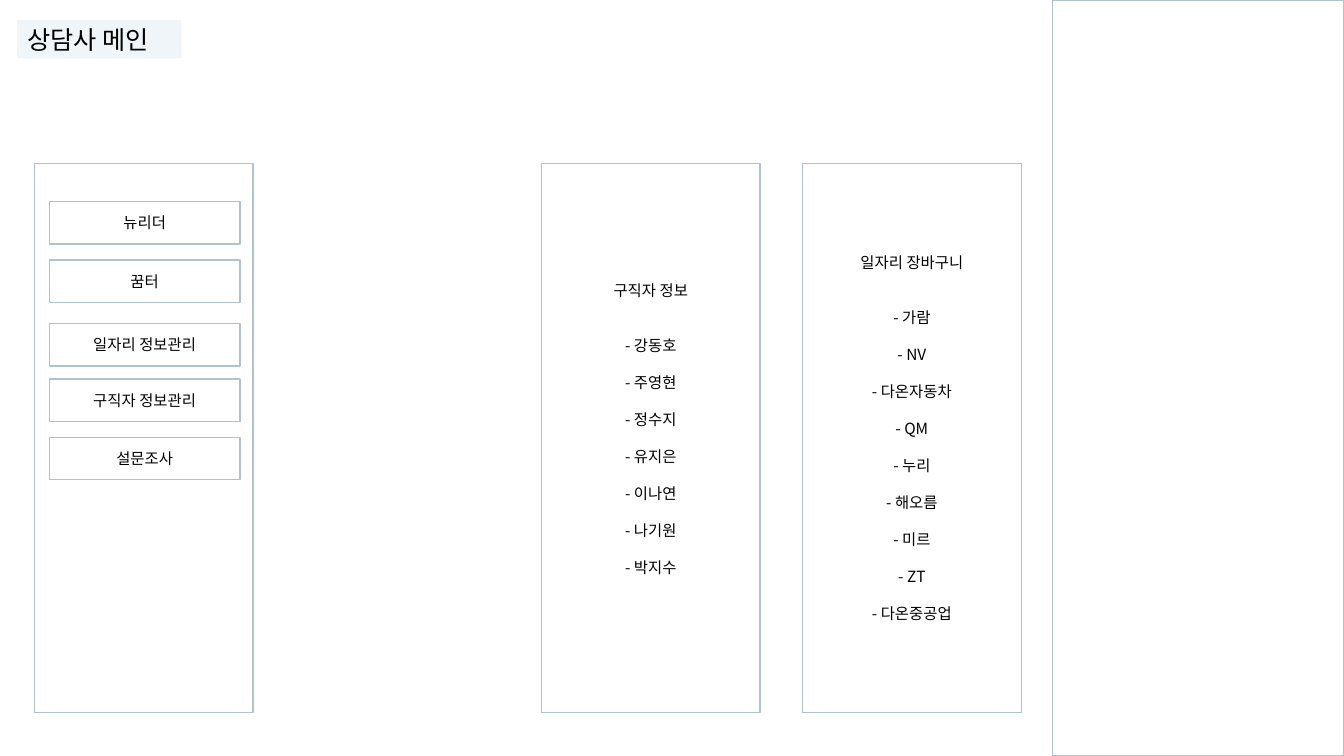
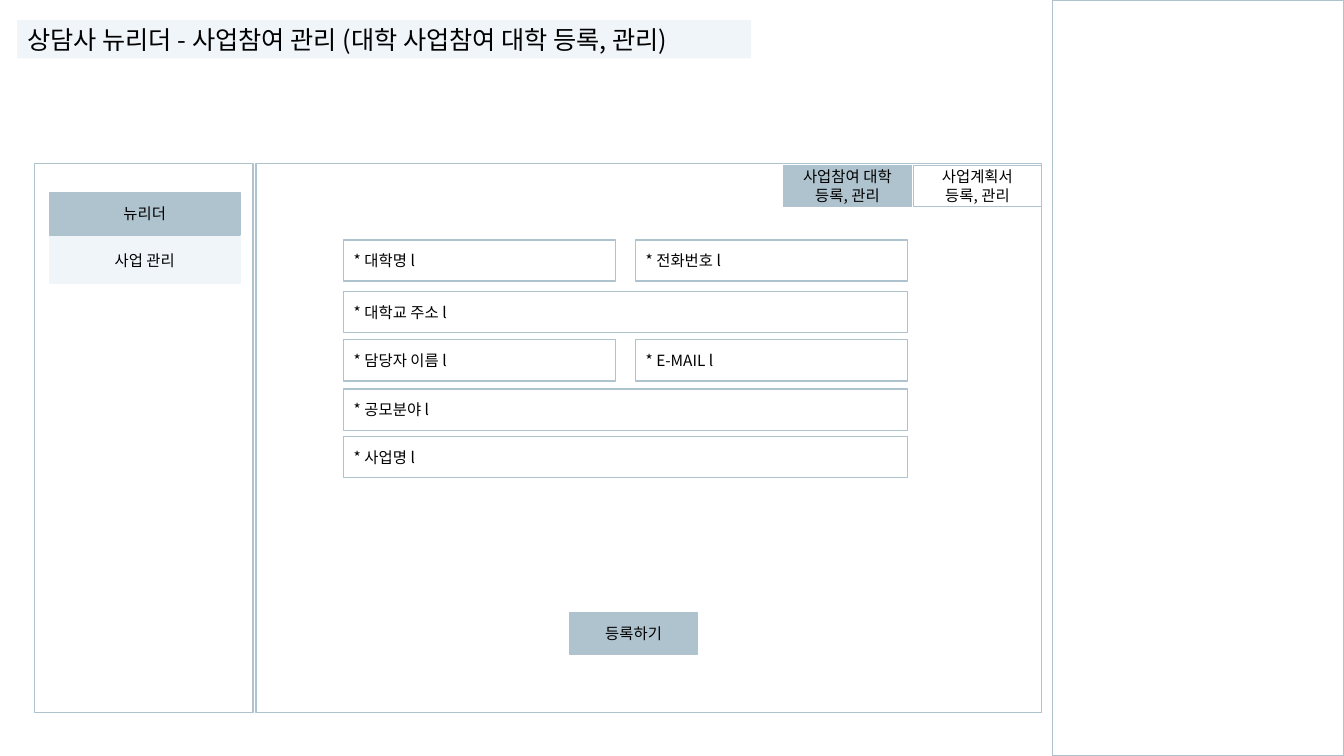
from dataclasses import dataclass
from lxml.etree import SubElement
from pptx import Presentation
from pptx.dml.color import RGBColor
from pptx.enum.shapes import MSO_SHAPE
from pptx.enum.text import MSO_ANCHOR, MSO_AUTO_SIZE, PP_ALIGN
from pptx.oxml.ns import qn
from pptx.util import Inches, Pt


@dataclass(frozen=True)
class Theme:
    font: str = "Noto Sans CJK KR"
    ink: RGBColor = RGBColor(0, 0, 0)
    steel: RGBColor = RGBColor(0xAF, 0xC3, 0xCE)
    pale: RGBColor = RGBColor(0xF0, 0xF5, 0xF9)
    title: float = 18
    body: float = 11
    lead: float = 1.2
    rule: float = 1


THEME = Theme()
LINE = THEME.body * THEME.lead
TOP, TALL = 1.62, 5.45
SIDE, WIDE = 0.34, 2.17
MENU, ITEM = 0.49, 1.89
HIGH = 0.41


def write(frame, lines, size, align, gaps=()):
    frame.word_wrap = True
    frame.auto_size = MSO_AUTO_SIZE.NONE
    frame.vertical_anchor = MSO_ANCHOR.MIDDLE
    frame.margin_left = frame.margin_right = Inches(0.1)
    frame.margin_top = frame.margin_bottom = Inches(0.05)
    for spot, line in enumerate(lines):
        para = frame.paragraphs[0] if spot == 0 else frame.add_paragraph()
        para.alignment = align
        para.line_spacing = Pt(size * THEME.lead)
        para.space_before = Pt(gaps[spot] if gaps else 0)
        run = para.add_run()
        run.text = line
        font = run.font
        font.size = Pt(size)
        font.name = THEME.font
        font.color.rgb = THEME.ink
        east = SubElement(run._r.get_or_add_rPr(), qn("a:ea"))
        east.set("typeface", THEME.font)


def box(slide, left, top, width, height, lines=(), fill=None,
        edge=THEME.steel, align=PP_ALIGN.CENTER, gaps=()):
    shape = slide.shapes.add_shape(
        MSO_SHAPE.RECTANGLE, *map(Inches, (left, top, width, height)))
    shape.shadow.inherit = False
    if fill is None:
        shape.fill.background()
    else:
        shape.fill.solid()
        shape.fill.fore_color.rgb = fill
    shape.line.color.rgb = edge
    shape.line.width = Pt(THEME.rule)
    if lines:
        write(shape.text_frame, lines, THEME.body, align, gaps)
    return shape


def roster(slide, left, head, names):
    lines = [head] + [f"- {name}" for name in names]
    gaps = [0, 2 * LINE] + [LINE] * (len(names) - 1)
    return box(slide, left, TOP, WIDE, TALL, lines, gaps=gaps)


def field(slide, left, top, width, label):
    box(slide, left, top, width, HIGH, [f"* {label} l"], align=PP_ALIGN.LEFT)


def page(deck, text, width):
    slide = deck.slides.add_slide(deck.slide_layouts[5])
    title = slide.shapes.title
    title.left, title.top = Inches(0.17), Inches(0.2)
    title.width, title.height = Inches(width), Inches(0.38)
    title.fill.solid()
    title.fill.fore_color.rgb = THEME.pale
    write(title.text_frame, [text], THEME.title, PP_ALIGN.LEFT)
    box(slide, 10.44, 0, 2.89, 7.5)
    box(slide, SIDE, TOP, WIDE, TALL)
    return slide


def home(deck):
    slide = page(deck, "상담사 메인", 1.63)
    menu = ((2, "뉴리더"), (2.58, "꿈터"), (3.21, "일자리 정보관리"),
            (3.76, "구직자 정보관리"), (4.34, "설문조사"))
    for top, label in menu:
        box(slide, MENU, top, ITEM, 0.42, [label])
    people = roster(slide, 5.37, "구직자 정보", (
        "강동호", "주영현", "정수지", "유지은", "이나연", "나기원", "박지수"))
    people.text_frame.margin_bottom = Inches(0.05) + Pt(LINE)
    roster(slide, 7.96, "일자리 장바구니", (
        "가람", "NV", "다온자동차", "QM", "누리", "해오름", "미르", "ZT",
        "다온중공업"))


def form(deck):
    slide = page(
        deck, "상담사 뉴리더 - 사업참여 관리 (대학 사업참여 대학 등록, 관리)", 7.28)
    box(slide, MENU, 1.91, ITEM, 0.42, ["뉴리더"], THEME.steel)
    box(slide, MENU, 2.35, ITEM, 0.46, ["사업 관리"], THEME.pale, THEME.pale)
    box(slide, 2.54, TOP, 7.79, TALL)
    tabs = ((9.06, "사업계획서", None), (7.77, "사업참여 대학", THEME.steel))
    for left, label, fill in tabs:
        box(slide, left, 1.64, 1.27, HIGH, [label, "등록, 관리"], fill)
    rows = ((2.38, ("대학명", "전화번호")), (2.89, ("대학교 주소",)),
            (3.37, ("담당자 이름", "E-MAIL")), (3.86, ("공모분야",)),
            (4.33, ("사업명",)))
    full, gap = 5.59, 0.2
    for top, labels in rows:
        count = len(labels)
        width = (full - gap * (count - 1)) / count
        for spot, label in enumerate(labels):
            field(slide, 3.41 + spot * (width + gap), top, width, label)
    box(slide, 5.65, 6.08, 1.27, HIGH, ["등록하기"], THEME.steel)


def main():
    deck = Presentation()
    deck.slide_width, deck.slide_height = Inches(13.33), Inches(7.5)
    home(deck)
    form(deck)
    deck.save("out.pptx")


if __name__ == "__main__":
    main()
